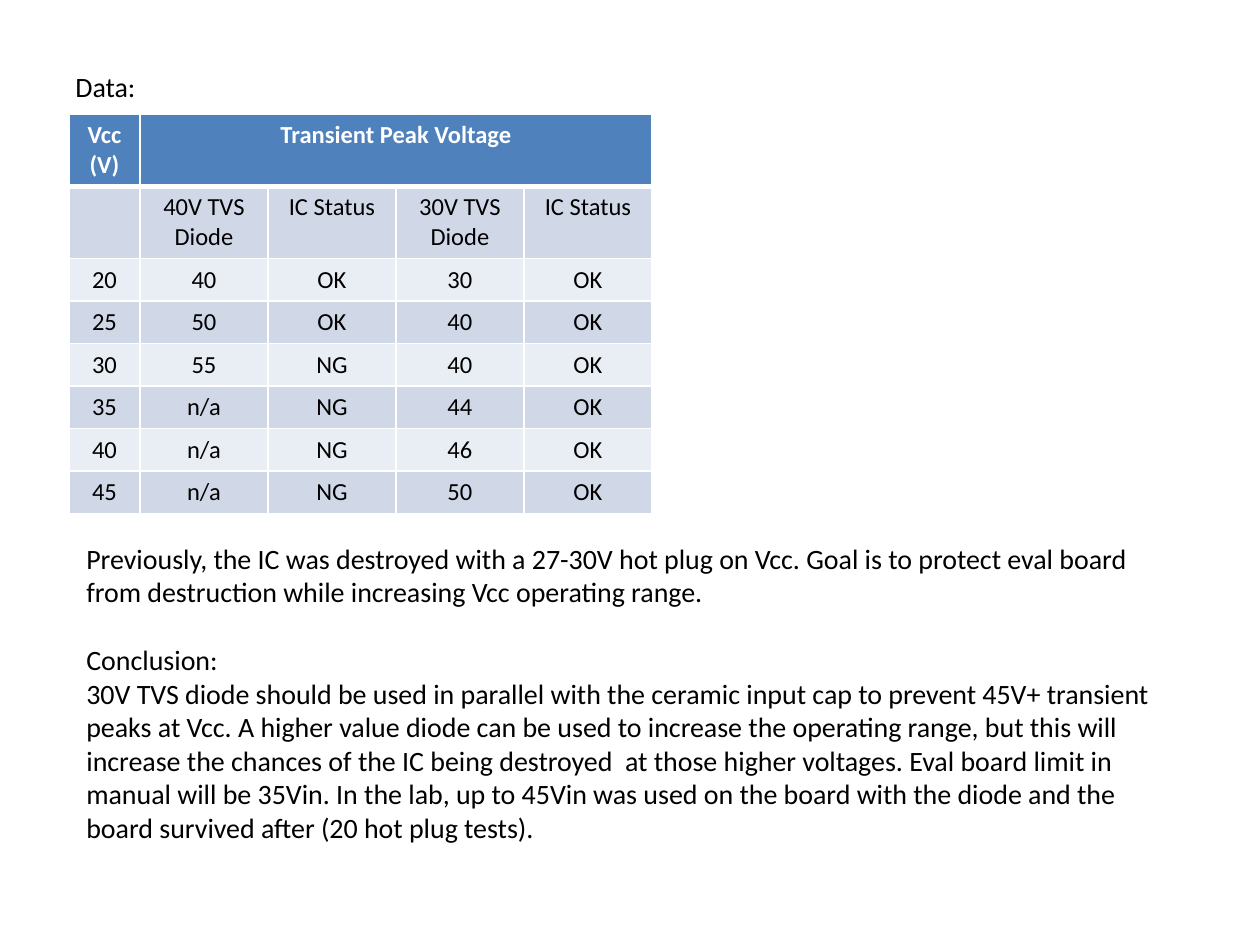
from lxml import etree
from pptx import Presentation
from pptx.dml.color import RGBColor
from pptx.enum.text import MSO_AUTO_SIZE, PP_ALIGN
from pptx.oxml.ns import qn
from pptx.util import Pt

PX = 914400 // 126
FONT = "Calibri"
COLORS = {"header": "4F81BD", "band_dark": "D0D8E8", "band_light": "E9EDF4",
          "white": "FFFFFF", "black": "000000"}

ROWS = [
    ["Vcc (V)", "Transient Peak Voltage", "", "", ""],
    ["", "40V TVS Diode", "IC Status", "30V TVS Diode", "IC Status"],
    ["20", "40", "OK", "30", "OK"],
    ["25", "50", "OK", "40", "OK"],
    ["30", "55", "NG", "40", "OK"],
    ["35", "n/a", "NG", "44", "OK"],
    ["40", "n/a", "NG", "46", "OK"],
    ["45", "n/a", "NG", "50", "OK"],
]

BACKGROUND = ("Previously, the IC was destroyed with a 27-30V hot plug on Vcc. Goal is to "
              "protect eval board from destruction while increasing Vcc operating range.")
CONCLUSION = ("30V TVS diode should be used in parallel with the ceramic input cap to prevent "
              "45V+ transient peaks at Vcc. A higher value diode can be used to increase the "
              "operating range, but this will increase the chances of the IC being destroyed  "
              "at those higher voltages. Eval board limit in manual will be 35Vin. In the lab, "
              "up to 45Vin was used on the board with the diode and the board survived after "
              "(20 hot plug tests).")


def px(*lengths):
    return [length * PX for length in lengths]


def rgb(name):
    return RGBColor.from_string(COLORS[name])


def style_font(font, size, color, bold=False):
    font.name, font.size, font.bold = FONT, Pt(size), bold
    font.color.rgb = rgb(color)


def set_borders(cell, widths):
    """Draw white cell edges; widths maps an edge tag to points."""
    props = cell._tc.get_or_add_tcPr()
    for index, (edge, width) in enumerate(widths.items()):
        line = etree.Element(qn("a:" + edge), w=str(Pt(width)))
        fill = etree.SubElement(line, qn("a:solidFill"))
        etree.SubElement(fill, qn("a:srgbClr"), val=COLORS["white"])
        props.insert(index, line)


def add_voltage_table(slide, box):
    left, top, width, height = box
    first_col, tall_row = 71, 71
    count = len(ROWS)
    table = slide.shapes.add_table(count, 5, *px(*box)).table

    # Narrow first column, two tall heading rows, the rest shared equally
    for c, column in enumerate(table.columns):
        column.width = px(first_col if c == 0 else (width - first_col) // 4)[0]
    for r, row in enumerate(table.rows):
        row.height = px(tall_row if r < 2 else (height - 2 * tall_row) // (count - 2))[0]
    table.cell(0, 1).merge(table.cell(0, 4))

    for r, values in enumerate(ROWS):
        fill = "header" if r == 0 else "band_dark" if r % 2 else "band_light"
        edges = {"lnL": 1, "lnR": 1, "lnT": 3 if r == 1 else 1, "lnB": 3 if r == 0 else 1}
        for c, value in enumerate(values):
            cell = table.cell(r, c)
            cell.fill.solid()
            cell.fill.fore_color.rgb = rgb(fill)
            set_borders(cell, edges)
            paragraph = cell.text_frame.paragraphs[0]
            paragraph.alignment = PP_ALIGN.CENTER
            style_font(paragraph.font, 14, "black")
            if value:
                run = paragraph.add_run()
                run.text = value
                style_font(run.font, 14, "black" if r else "white", bold=r == 0)


def add_text(slide, box, paragraphs):
    """Place a text box; paragraphs are (text, space before in points)."""
    frame = slide.shapes.add_textbox(*px(*box)).text_frame
    frame.word_wrap = True
    frame.auto_size = MSO_AUTO_SIZE.SHAPE_TO_FIT_TEXT
    for index, (text, gap) in enumerate(paragraphs):
        paragraph = frame.add_paragraph() if index else frame.paragraphs[0]
        paragraph.space_before = Pt(gap)
        run = paragraph.add_run()
        run.text = text
        style_font(run.font, 16, "black")


def main():
    prs = Presentation()
    prs.slide_width, prs.slide_height = px(1260, 945)
    slide = prs.slides.add_slide(prs.slide_layouts[6])

    # Results table with its label
    add_voltage_table(slide, (69, 114, 583, 394))
    add_text(slide, (63, 63, 494, 47), [("Data:", 0)])

    # Background and conclusion
    add_text(slide, (74, 535, 1112, 318),
             [(BACKGROUND, 0), ("Conclusion:", 19.5), (CONCLUSION, 0)])

    prs.save("out.pptx")


main()
